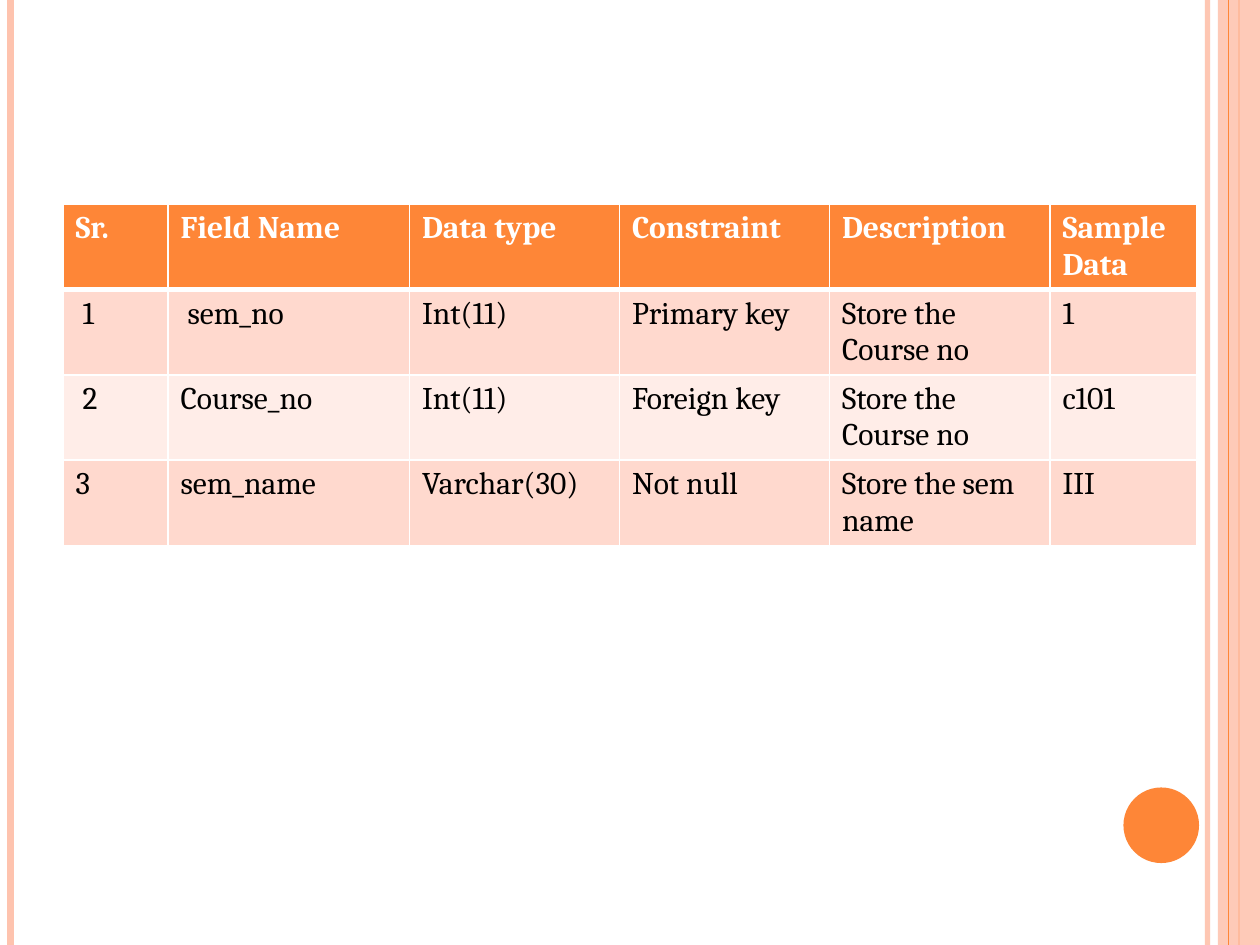
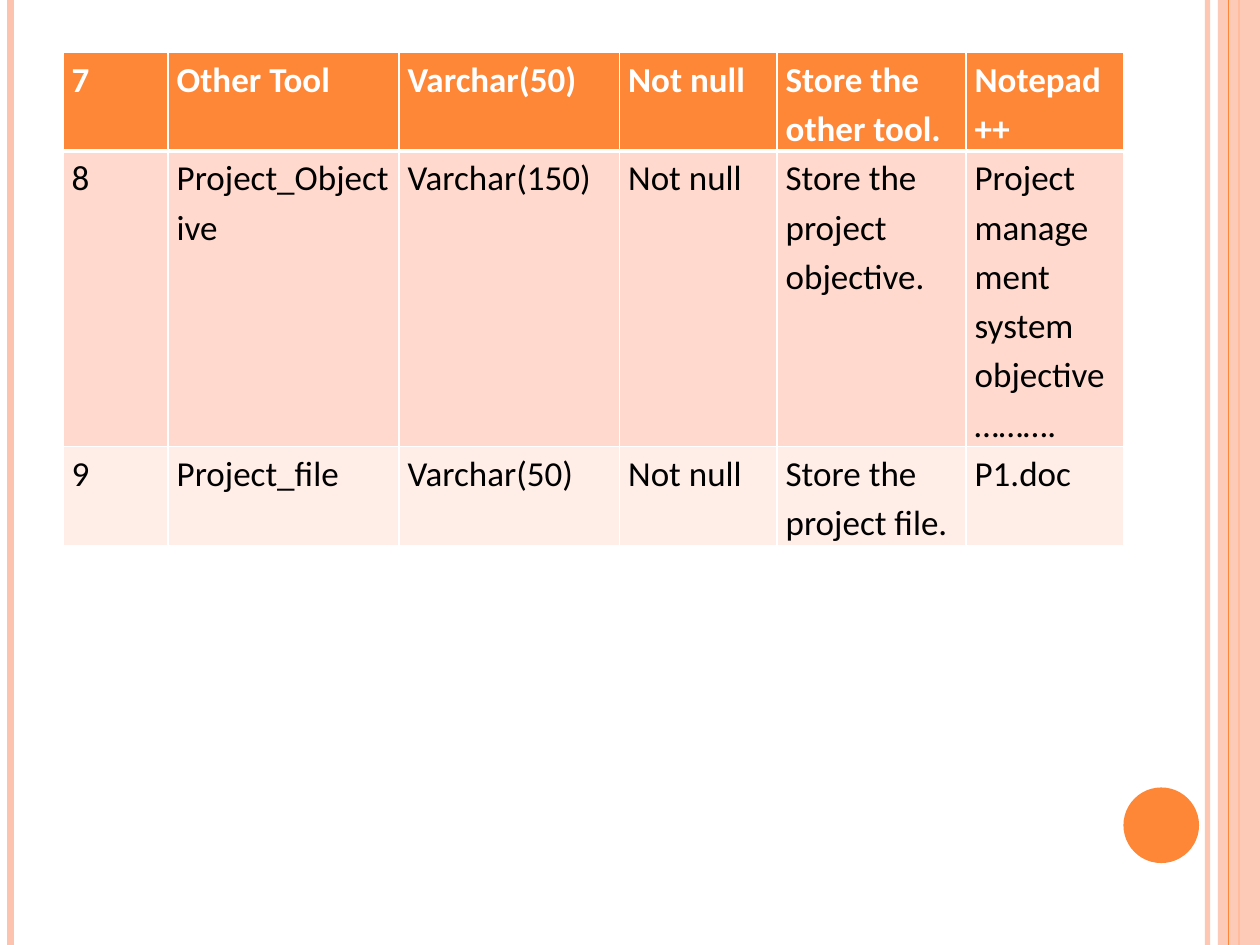
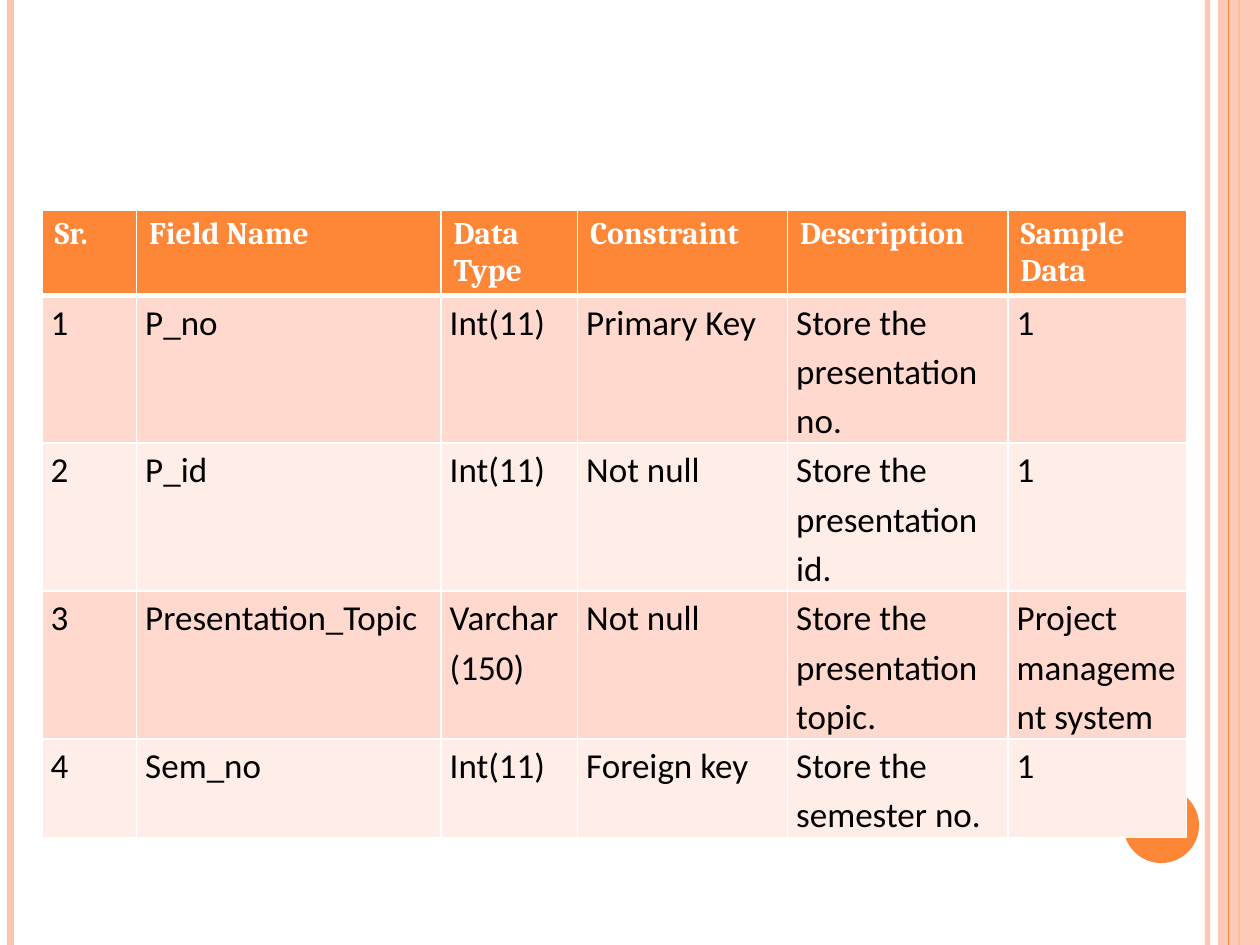
import dataclasses

import pptx
import pptx.dml.color
import pptx.enum.shapes
import pptx.oxml
import pptx.oxml.ns
import pptx.util

Pt = pptx.util.Pt
RGBColor = pptx.dml.color.RGBColor
ShapeType = pptx.enum.shapes.MSO_SHAPE


@dataclasses.dataclass(frozen=True)
class CellStyle:
    font: str
    size: float
    side_margin: float
    top_margin: float
    line_spacing: float


@dataclasses.dataclass(frozen=True)
class Theme:
    width: float = 720
    height: float = 540
    accent: str = "FE8637"
    pale_accent: str = "FEC3AE"
    white: str = "FFFFFF"
    black: str = "000000"
    bands: tuple = ("FFD9CE", "FFEDE8")
    border: float = 1
    header_border: float = 3
    indent: float = 4
    serif: CellStyle = CellStyle("Cambria", 18, 7.2, 3.6, 1)
    sans: CellStyle = CellStyle("Calibri", 20, 5, 0, 1.15)


class Deck:
    def __init__(self, theme):
        self.theme = theme
        self.presentation = pptx.Presentation()
        self.presentation.slide_width = Pt(theme.width)
        self.presentation.slide_height = Pt(theme.height)
        self.slide = None

    def add_slide(self):
        """Start a slide with the side bands and the corner dot."""
        theme = self.theme
        self.slide = self.presentation.slides.add_slide(self.presentation.slide_layouts[6])
        self.add_vertical_line(690, theme.pale_accent, 3, opacity=93)
        self.add_vertical_line(6, theme.pale_accent, 4.5)
        self.add_vertical_line(708, theme.accent, 1.5)
        self.add_shape(ShapeType.RECTANGLE, 696, 0, 24, theme.height, theme.pale_accent, opacity=87)
        self.add_vertical_line(702, theme.accent, 0.75)
        self.add_shape(ShapeType.OVAL, 642, 450, 43.2, 43.2, theme.accent)

    def set_opacity(self, shape, percent):
        for color in shape.element.xpath(".//a:srgbClr"):
            alpha = pptx.oxml.parse_xml(f'<a:alpha {pptx.oxml.ns.nsdecls("a")} val="{percent * 1000}"/>')
            color.append(alpha)

    def add_vertical_line(self, x, color, width, opacity=100):
        line = self.slide.shapes.add_connector(
            pptx.enum.shapes.MSO_CONNECTOR.STRAIGHT, Pt(x), Pt(0), Pt(x), Pt(self.theme.height))
        line.line.color.rgb = RGBColor.from_string(color)
        line.line.width = Pt(width)
        line.element.spPr.append(pptx.oxml.parse_xml(f'<a:effectLst {pptx.oxml.ns.nsdecls("a")}/>'))
        if opacity < 100:
            self.set_opacity(line, opacity)

    def add_shape(self, kind, left, top, width, height, color, opacity=100):
        shape = self.slide.shapes.add_shape(kind, Pt(left), Pt(top), Pt(width), Pt(height))
        shape.shadow.inherit = False
        shape.fill.solid()
        shape.fill.fore_color.rgb = RGBColor.from_string(color)
        shape.line.fill.background()
        if opacity < 100:
            self.set_opacity(shape, opacity)

    def add_table(self, left, top, widths, heights, rows, header_style, body_style, indented=()):
        """Draw a banded table; indented lists (row, column) cells set slightly inward."""
        frame = self.slide.shapes.add_table(
            len(rows), len(widths), Pt(left), Pt(top), Pt(sum(widths)), Pt(sum(heights)))
        table = frame.table
        table.first_row = table.horz_banding = False
        for column, width in zip(table.columns, widths):
            column.width = Pt(width)
        for row_index, (texts, height) in enumerate(zip(rows, heights)):
            table.rows[row_index].height = Pt(height)
            style = body_style if row_index else header_style
            for column_index, text in enumerate(texts):
                indent = self.theme.indent if (row_index, column_index) in indented else 0
                self.fill_cell(table.cell(row_index, column_index), text, row_index, style, indent)

    def fill_cell(self, cell, text, row_index, style, indent):
        theme = self.theme
        is_header = row_index == 0
        cell.margin_left = Pt(style.side_margin + indent)
        cell.margin_right = Pt(style.side_margin)
        cell.margin_top = cell.margin_bottom = Pt(style.top_margin)
        self.add_borders(cell, row_index)
        cell.fill.solid()
        background = theme.accent if is_header else theme.bands[(row_index - 1) % 2]
        cell.fill.fore_color.rgb = RGBColor.from_string(background)
        cell.text = text
        paragraph = cell.text_frame.paragraphs[0]
        paragraph.line_spacing = style.line_spacing
        paragraph.font.name = style.font
        paragraph.font.size = Pt(style.size)
        paragraph.font.bold = is_header
        paragraph.font.color.rgb = RGBColor.from_string(theme.white if is_header else theme.black)

    def add_borders(self, cell, row_index):
        theme = self.theme
        widths = {
            "L": theme.border,
            "R": theme.border,
            "T": theme.header_border if row_index == 1 else theme.border,
            "B": theme.header_border if row_index == 0 else theme.border,
        }
        properties = cell._tc.get_or_add_tcPr()
        for side, width in widths.items():
            properties.append(pptx.oxml.parse_xml(
                f'<a:ln{side} {pptx.oxml.ns.nsdecls("a")} w="{Pt(width)}"><a:solidFill>'
                f'<a:srgbClr val="{theme.white}"/></a:solidFill></a:ln{side}>'))


def add_semester_fields(deck):
    deck.add_slide()
    rows = [
        ["Sr.", "Field Name", "Data type", "Constraint", "Description", "Sample Data"],
        ["1", "sem_no", "Int(11)", "Primary key", "Store the Course no", "1"],
        ["2", "Course_no", "Int(11)", "Foreign key", "Store the Course no", "c101"],
        ["3", "sem_name", "Varchar(30)", "Not null", "Store the sem name", "III"],
    ]
    deck.add_table(36, 116.6, [60, 138, 120, 120, 126, 84], [48.6] * 4, rows,
                   deck.theme.serif, deck.theme.serif, indented=[(1, 0), (1, 1), (2, 0)])


def add_project_fields(deck):
    deck.add_slide()
    rows = [
        ["7", "Other Tool", "Varchar(50)", "Not null", "Store the other tool.", "Notepad++"],
        ["8", "Project_Objective", "Varchar(150)", "Not null", "Store the project objective.",
         "Project management system objective………."],
        ["9", "Project_file", "Varchar(50)", "Not null", "Store the project file.", "P1.doc"],
    ]
    deck.add_table(36, 30, [60, 132, 126, 90, 108, 90], [56, 169, 56], rows,
                   deck.theme.sans, deck.theme.sans)


def add_presentation_fields(deck):
    deck.add_slide()
    rows = [
        ["Sr.", "Field Name", "Data Type", "Constraint", "Description", "Sample Data"],
        ["1", "P_no", "Int(11)", "Primary Key", "Store the presentation no.", "1"],
        ["2", "P_id", "Int(11)", "Not null", "Store the presentation id.", "1"],
        ["3", "Presentation_Topic", "Varchar(150)", "Not null", "Store the presentation topic.",
         "Project management system"],
        ["4", "Sem_no", "Int(11)", "Foreign key", "Store the semester no.", "1"],
    ]
    deck.add_table(24, 120, [54, 174, 78, 120, 126, 102], [48.6, 84.5, 84.5, 84.5, 56], rows,
                   deck.theme.serif, deck.theme.sans)


def main():
    deck = Deck(Theme())
    add_semester_fields(deck)
    add_project_fields(deck)
    add_presentation_fields(deck)
    deck.presentation.save("out.pptx")


if __name__ == "__main__":
    main()
